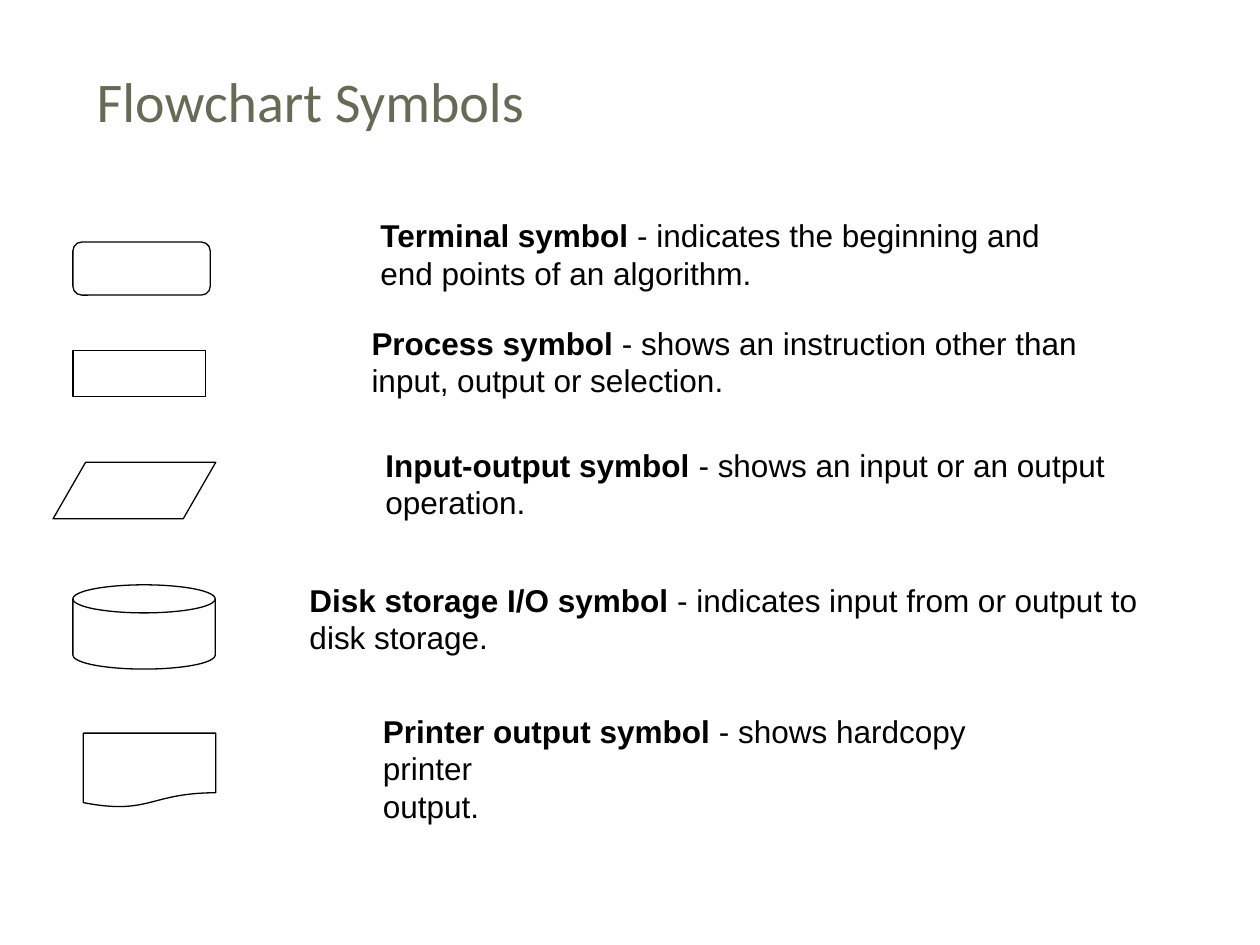
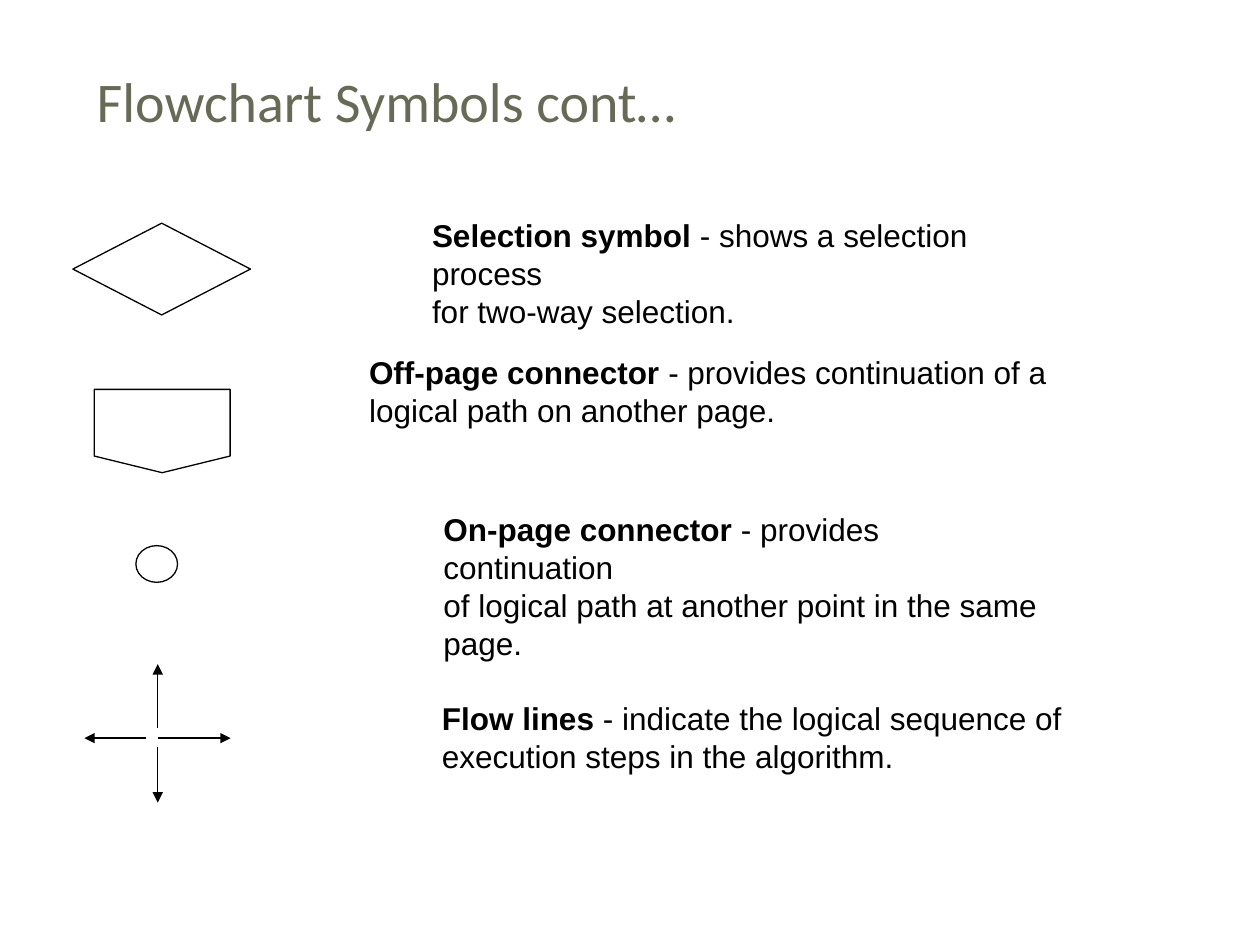
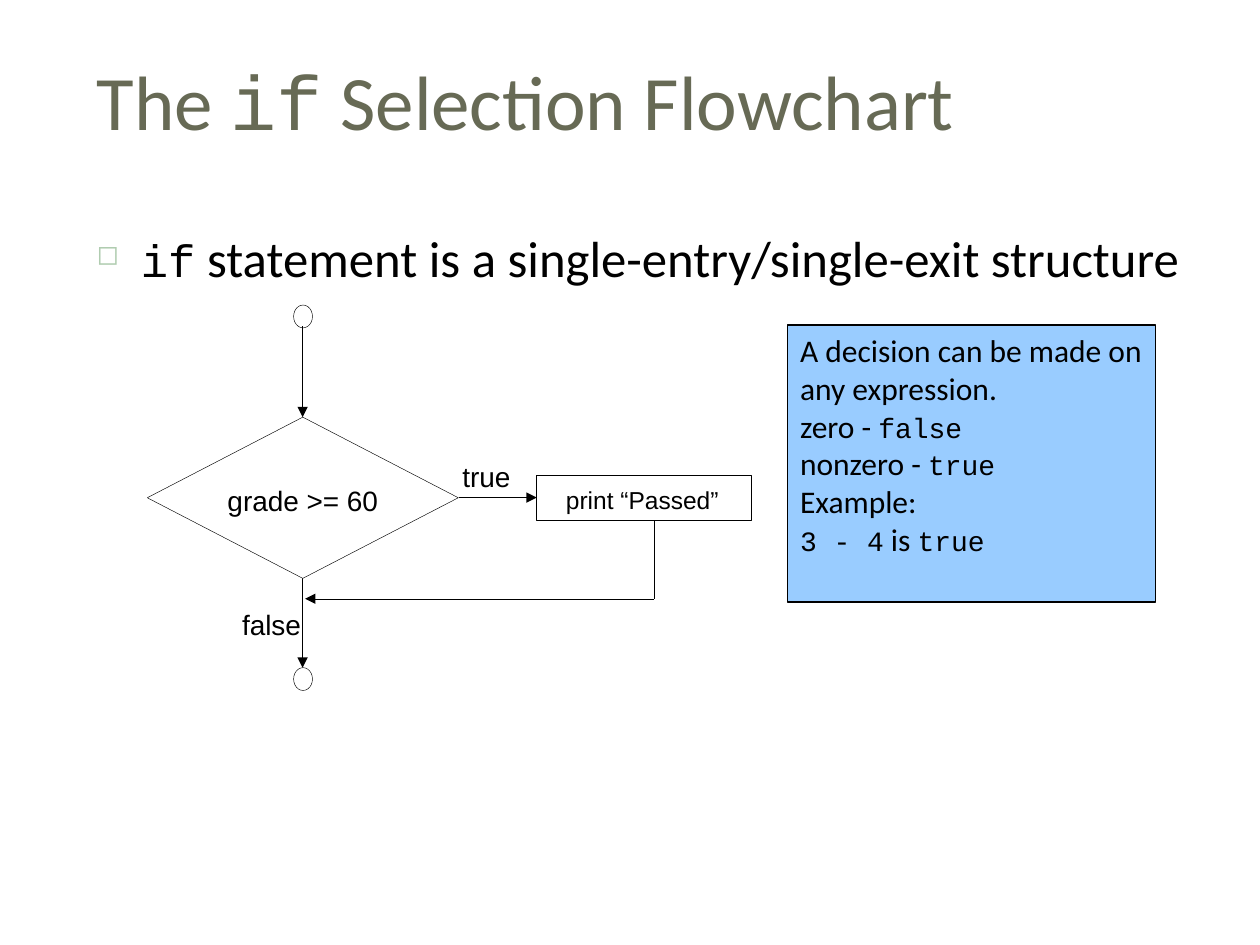
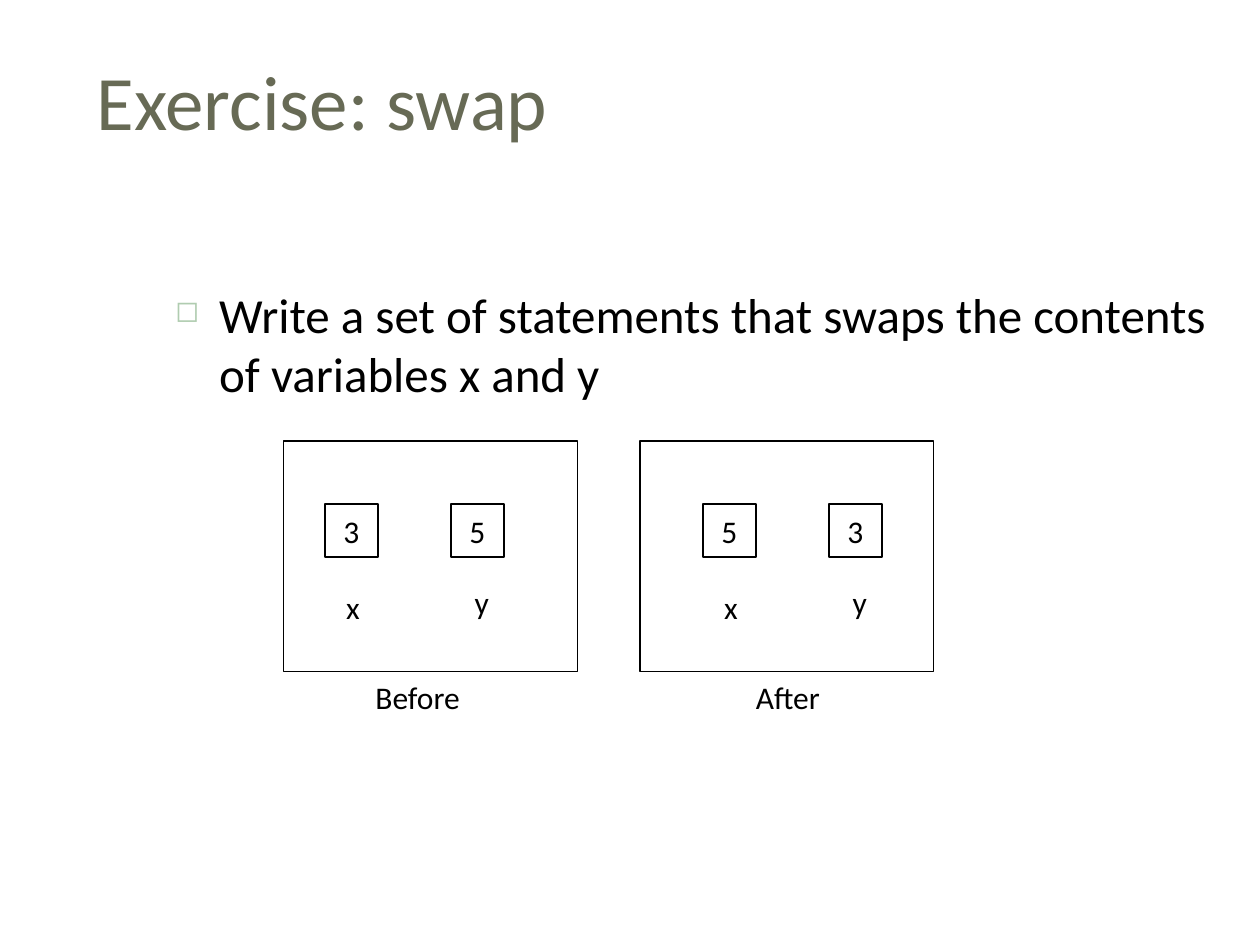
from lxml import etree
from pptx import Presentation
from pptx import util as u
from pptx.dml.color import RGBColor
from pptx.enum import shapes, text
from pptx.oxml.ns import qn

BLACK = RGBColor(0x00, 0x00, 0x00)
WHITE = RGBColor(0xFF, 0xFF, 0xFF)
OLIVE = RGBColor(0x67, 0x6A, 0x55)
SAGE = RGBColor(0xB0, 0xCC, 0xB0)
SKY = RGBColor(0x99, 0xCC, 0xFF)

SANS, BODY, CODE = "Arial", "Calibri", "Courier New"
SHAPE = shapes.MSO_SHAPE
ANCHOR = text.MSO_ANCHOR
ALIGN = text.PP_ALIGN


class Deck:
    """Holds the shared style and the slide being built."""

    def __init__(self):
        self.prs = Presentation()
        self.prs.slide_width, self.prs.slide_height = u.Cm(25.4), u.Cm(19.05)
        self.s = None

    def slide(self, *title, size=44):
        """Start a slide; the title is a list of strings or (string, format) pairs."""
        self.s = self.prs.slides.add_slide(self.prs.slide_layouts[6])
        self.text((1.7, 0.64, 22.66, 2.74), [title], size=size, color=OLIVE,
                  frame={"vertical_anchor": ANCHOR.MIDDLE})

    def fill_text(self, tf, paragraphs, size=18, name=BODY, color=BLACK,
                  align=ALIGN.LEFT, frame=None):
        for key, value in (frame or {}).items():
            setattr(tf, key, value)
        for i, runs in enumerate(paragraphs):
            p = tf.paragraphs[0] if i == 0 else tf.add_paragraph()
            p.alignment = align
            for run in runs:
                words, extra = (run, {}) if isinstance(run, str) else run
                r = p.add_run()
                r.text = words
                r.font.color.rgb = color
                font = {"size": u.Pt(size), "name": name, "bold": False, **extra}
                for key, value in font.items():
                    setattr(r.font, key, value)

    def text(self, box, paragraphs, wrap=True, frame=None, **style):
        sp = self.s.shapes.add_textbox(*map(u.Cm, box))
        self.fill_text(sp.text_frame, paragraphs,
                       frame={"word_wrap": wrap, **(frame or {})}, **style)
        return sp

    def label(self, box, words, size=16, align=ALIGN.LEFT):
        """Arial label without margins."""
        sides = ("left", "top", "right", "bottom")
        self.text(box, [[words]], size=size, name=SANS, align=align,
                  frame={f"margin_{side}": 0 for side in sides})

    def definition(self, box, term, *lines, wrap=False):
        """Bold term followed by its meaning."""
        first, *rest = lines
        self.text(box, [[(term, {"bold": True}), first], *([line] for line in rest)],
                  wrap=wrap, name=SANS)

    def bullet(self, box, *runs, size):
        p = self.text(box, [runs], size=size).text_frame.paragraphs[0]
        p.space_before = u.Pt(7)
        ppr = p._p.get_or_add_pPr()
        ppr.set("marL", str(u.Cm(0.89)))
        ppr.set("indent", str(u.Cm(-0.89)))
        color = etree.SubElement(ppr, qn("a:buClr"))
        etree.SubElement(color, qn("a:srgbClr")).set("val", str(SAGE))
        etree.SubElement(ppr, qn("a:buSzPct")).set("val", "60000")
        etree.SubElement(ppr, qn("a:buChar")).set("char", "◻")

    def shape(self, kind, box, fill=None, width=0.75, paragraphs=(), **style):
        sp = self.s.shapes.add_shape(kind, *map(u.Cm, box))
        sp.shadow.inherit = False
        if fill is None:
            sp.fill.background()
        else:
            sp.fill.solid()
            sp.fill.fore_color.rgb = fill
        sp.line.color.rgb = BLACK
        sp.line.width = u.Pt(width)
        self.fill_text(sp.text_frame, paragraphs, **style)

    def line(self, start, end, width=0.75, arrow=True):
        cx = self.s.shapes.add_connector(shapes.MSO_CONNECTOR.STRAIGHT,
                                         *map(u.Cm, (*start, *end)))
        cx.line.color.rgb = BLACK
        cx.line.width = u.Pt(width)
        if arrow:
            ln = cx.line._get_or_add_ln()
            etree.SubElement(ln, qn("a:tailEnd")).set("type", "triangle")
        etree.SubElement(cx._element.spPr, qn("a:effectLst"))


def symbols(d):
    d.slide("Flowchart Symbols", size=32)
    for kind, box in (
        (SHAPE.FLOWCHART_ALTERNATE_PROCESS, (1.47, 4.88, 2.77, 1.07)),
        (SHAPE.FLOWCHART_PROCESS, (1.47, 7.06, 2.67, 0.94)),
        (SHAPE.FLOWCHART_DATA, (1.07, 9.32, 3.28, 1.14)),
        (SHAPE.FLOWCHART_MAGNETIC_DISK, (1.47, 11.79, 2.87, 1.7)),
        (SHAPE.FLOWCHART_DOCUMENT, (1.68, 14.78, 2.67, 1.5)),
    ):
        d.shape(kind, box)
    d.definition((7.42, 4.24, 14.02, 1.78), "Terminal symbol",
                 " - indicates the beginning and", "end points of an algorithm.")
    d.definition((7.24, 6.4, 14.73, 1.78), "Process symbol",
                 " - shows an instruction other than", "input, output or selection.")
    d.definition((7.52, 8.86, 15.19, 1.78), "Input-output symbol",
                 " - shows an input or an output", "operation.")
    d.definition((5.99, 11.58, 17.35, 1.78), "Disk storage I/O symbol",
                 " - indicates input from or output to disk storage.", wrap=True)
    d.definition((7.47, 14.22, 14.22, 1.78), "Printer output symbol",
                 " - shows hardcopy printer", "output.")


def more_symbols(d):
    d.slide("Flowchart Symbols cont…", size=32)
    for kind, box in (
        (SHAPE.FLOWCHART_DECISION, (1.47, 4.5, 3.58, 1.85)),
        (SHAPE.FLOWCHART_OFFPAGE_CONNECTOR, (1.9, 7.85, 2.74, 1.68)),
        (SHAPE.FLOWCHART_CONNECTOR, (2.74, 11, 0.84, 0.74)),
    ):
        d.shape(kind, box)

    # Flow lines: up, right, down, left
    x, y = 3.18, 14.88
    for start, end in (
        ((x, 14.68), (x, 13.39)),
        ((x, y), (4.65, y)),
        ((x, 15.06), (x, 16.18)),
        ((2.95, y), (1.7, y)),
    ):
        d.line(start, end)

    d.definition((8.46, 4.24, 13.69, 1.78), "Selection symbol",
                 " - shows a selection process", "for two-way selection.")
    d.definition((7.19, 6.99, 15.88, 1.78), "Off-page connector ",
                 "- provides continuation of a logical path on another page.", wrap=True)
    d.definition((8.69, 10.16, 12.88, 2.54), "On-page connector ",
                 "- provides continuation",
                 "of logical path at another point in the same", "page.")
    d.definition((8.66, 13.97, 13, 1.78), "Flow lines",
                 " - indicate the logical sequence of", "execution steps in the algorithm.")


def if_selection(d):
    d.slide("The ", ("if", {"name": CODE}), " Selection Flowchart")
    d.bullet((1.7, 4.45, 22.66, 12.5), ("if", {"name": CODE, "size": u.Pt(26)}),
             " statement is a single-entry/single-exit structure", size=29)

    # Flowchart
    thin = 0.25
    x, y, x_return, y_return = 6.1, 10.03, 13.18, 12.07
    d.line((x, 6.58), (x, 8.41), thin)
    d.line((x, 11.66), (x, 13.46), thin)
    d.line((9.25, y), (10.82, y), thin)
    d.line((x_return, 10.49), (x_return, y_return), thin, arrow=False)
    d.line((x_return, y_return), (6.15, y_return), thin)
    for top in (6.15, 13.46):
        d.shape(SHAPE.OVAL, (5.92, top, 0.38, 0.46), width=thin)
    d.shape(SHAPE.DIAMOND, (2.97, 8.41, 6.27, 3.25), fill=WHITE, width=thin)
    d.shape(SHAPE.RECTANGLE, (10.82, 9.58, 4.32, 0.91), width=thin)
    d.label((9.32, 9.27, 1.4, 0.91), "true")
    d.label((4.88, 12.24, 1.7, 0.91), "false")
    d.label((4.34, 9.75, 3.53, 0.69), "grade >= 60", align=ALIGN.CENTER)
    d.label((11.07, 9.78, 3.76, 0.64), "print “Passed”", size=14, align=ALIGN.CENTER)

    # Note
    code = {"name": CODE, "size": u.Pt(16)}
    d.shape(SHAPE.RECTANGLE, (15.88, 6.55, 7.42, 5.59), fill=SKY, paragraphs=[
        ["A decision can be made on any expression."],
        ["zero - ", ("false", code)],
        ["nonzero - ", ("true", code)],
        ["Example:"],
        [("3 - 4", code), " is ", ("true", code)],
    ], frame={"vertical_anchor": ANCHOR.TOP, "word_wrap": True})


def swap_exercise(d):
    d.slide("Exercise: swap")
    d.bullet((3.28, 5.61, 21.59, 2.87),
             "Write a set of statements that swaps the contents of variables x and y", size=28)
    centered = {"vertical_anchor": ANCHOR.MIDDLE, "word_wrap": False}
    for caption, caption_box, panel_left, cell_left, values in (
        ("Before", (7.32, 13.54, 2.49, 1.02), 5.72, 6.55, "35"),
        ("After", (14.99, 13.54, 1.98, 1.02), 12.9, 14.17, "53"),
    ):
        d.shape(SHAPE.RECTANGLE, (panel_left, 8.89, 5.92, 4.65))
        for i, value in enumerate(values):
            d.shape(SHAPE.RECTANGLE, (cell_left + 2.54 * i, 10.16, 1.07, 1.07),
                    paragraphs=[[value]], align=ALIGN.CENTER, frame=centered)
        for variable, shift, top in (("x", 0.18, 11.73), ("y", 2.77, 11.63)):
            d.text((cell_left + shift, top, 0.84, 1.02), [[variable]], wrap=False)
        d.text(caption_box, [[caption]], wrap=False)


def main():
    d = Deck()
    for build in (symbols, more_symbols, if_selection, swap_exercise):
        build(d)
    d.prs.save("out.pptx")


if __name__ == "__main__":
    main()
